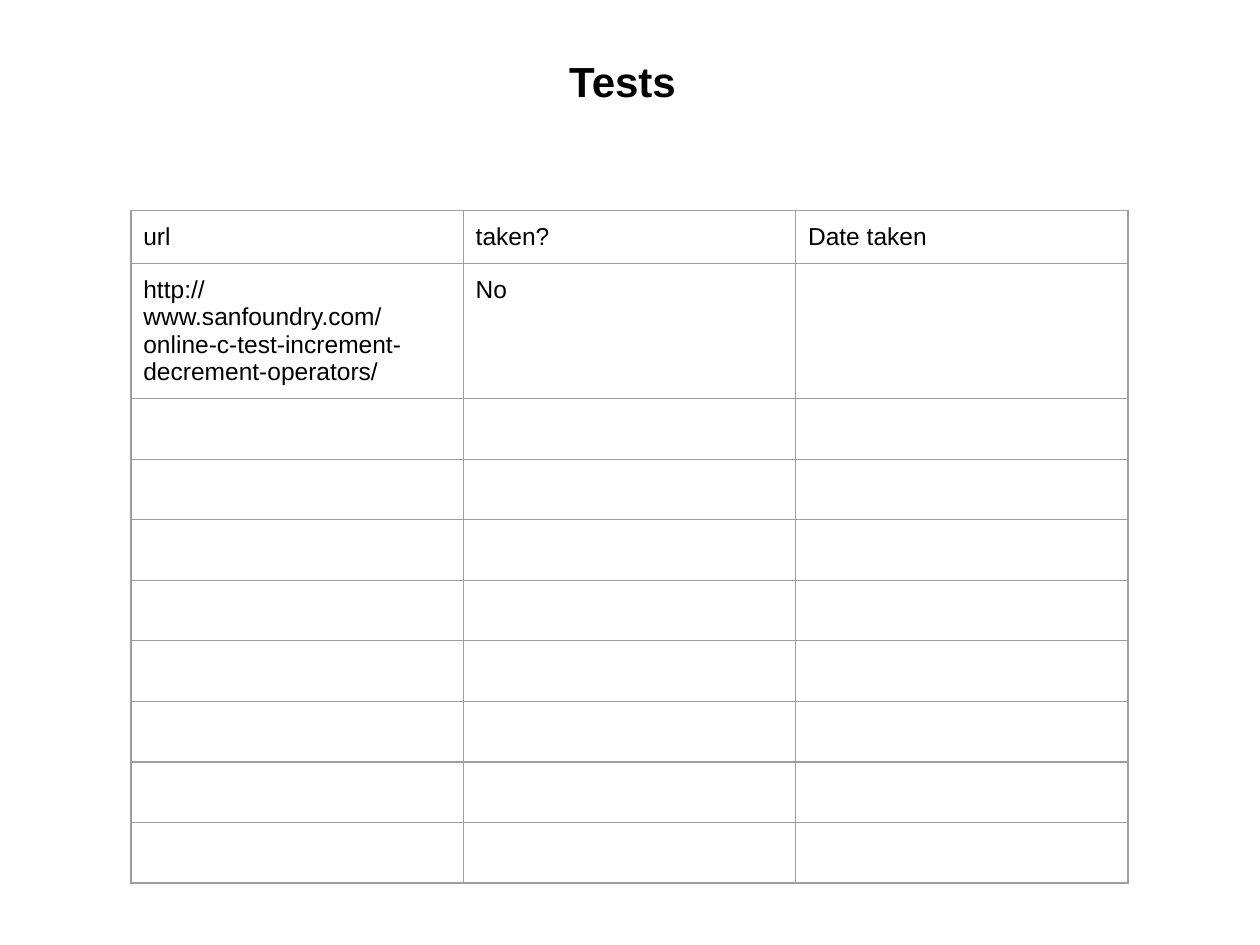
from dataclasses import dataclass

from lxml import etree
from pptx import Presentation
from pptx import util as u
from pptx.dml.color import RGBColor
from pptx.enum import text
from pptx.oxml.ns import qn


@dataclass(frozen=True)
class Theme:
    font: str = "Arial"
    ink: str = "000000"
    paper: str = "FFFFFF"
    rule: str = "9E9E9E"
    title_size: int = 24
    body_size: int = 14
    rule_width: float = 0.75
    inset: float = 0.25


class PageBuilder:
    def __init__(self, deck, theme):
        self.theme = theme
        self.page = deck.slides.add_slide(deck.slide_layouts[5])
        fill = self.page.background.fill
        fill.solid()
        fill.fore_color.rgb = RGBColor.from_string(theme.paper)

    def style(self, para, size, bold=False):
        font = para.font
        font.name = self.theme.font
        font.size = u.Pt(size)
        font.bold = bold
        font.color.rgb = RGBColor.from_string(self.theme.ink)

    def set_insets(self, target):
        inset = u.Cm(self.theme.inset)
        target.margin_left = target.margin_right = inset
        target.margin_top = target.margin_bottom = inset

    def title(self, wording, left, top, width, height):
        box = self.page.shapes.title
        box.left, box.top = u.Cm(left), u.Cm(top)
        box.width, box.height = u.Cm(width), u.Cm(height)
        frame = box.text_frame
        frame.text = wording
        frame.word_wrap = True
        frame.auto_size = text.MSO_AUTO_SIZE.NONE
        frame.vertical_anchor = text.MSO_ANCHOR.TOP
        self.set_insets(frame)
        para = frame.paragraphs[0]
        para.alignment = text.PP_ALIGN.CENTER
        self.style(para, self.theme.title_size, bold=True)

    def border(self, cell):
        properties = cell._tc.get_or_add_tcPr()
        for position, side in enumerate(("lnL", "lnR", "lnT", "lnB")):
            line = etree.Element(qn(f"a:{side}"), w=str(u.Pt(self.theme.rule_width)))
            fill = etree.SubElement(line, qn("a:solidFill"))
            etree.SubElement(fill, qn("a:srgbClr"), val=self.theme.rule)
            properties.insert(position, line)

    def table(self, entries, left, top, column_width, row_heights):
        columns = len(entries[0])
        table = self.page.shapes.add_table(
            len(row_heights), columns, u.Cm(left), u.Cm(top),
            u.Cm(column_width * columns), u.Cm(sum(row_heights)),
        ).table
        table.first_row = False
        table.horz_banding = False
        for column in table.columns:
            column.width = u.Cm(column_width)
        for row, height in zip(table.rows, row_heights):
            row.height = u.Cm(height)
        for row, wordings in enumerate(entries):
            for column, wording in enumerate(wordings):
                table.cell(row, column).text = wording
        for cell in table.iter_cells():
            self.set_insets(cell)
            cell.fill.background()
            self.border(cell)
            self.style(cell.text_frame.paragraphs[0], self.theme.body_size)


def main():
    deck = Presentation()
    deck.slide_width, deck.slide_height = u.Cm(25.4), u.Cm(19.05)
    builder = PageBuilder(deck, Theme())
    builder.title("Tests", 1.55, 0.86, 22, 1.83)
    entries = [
        ("url", "taken?", "Date taken"),
        ("http://www.sanfoundry.com/online-c-test-increment-decrement-operators/", "No", ""),
    ]
    builder.table(entries, 2.64, 4.24, 6.7, [1.07, 2.73] + [1.22] * 8)
    deck.save("out.pptx")


if __name__ == "__main__":
    main()
